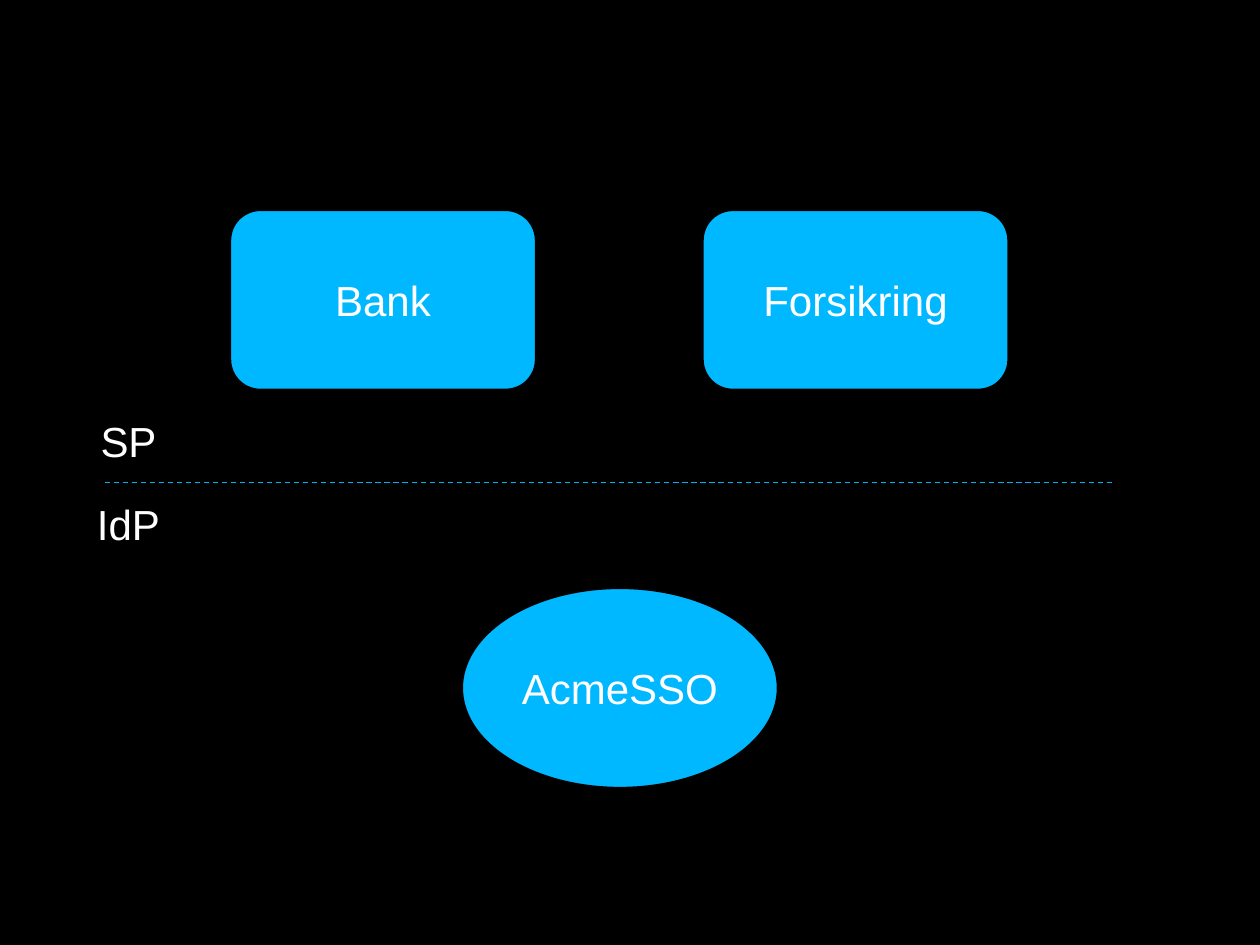
from dataclasses import dataclass

from lxml.etree import SubElement
from pptx import Presentation
from pptx.dml.color import RGBColor
from pptx.enum.dml import MSO_LINE_DASH_STYLE as DashStyle
from pptx.enum.shapes import MSO_CONNECTOR_TYPE as ConnectorType
from pptx.enum.shapes import MSO_SHAPE as ShapeType
from pptx.enum.text import MSO_ANCHOR as Anchor
from pptx.enum.text import MSO_AUTO_SIZE as AutoSize
from pptx.enum.text import PP_ALIGN as Align
from pptx.oxml.ns import qn
from pptx.slide import Slide
from pptx.text.text import TextFrame
from pptx.util import Inches, Pt

COLORS = {
    "background": "000000",
    "node": "00B8FF",
    "divider": "00B0F0",
    "text": "FFFFFF",
}
FONT = "Arial"
TEXT_SIZE = Pt(24)
LINE_WIDTH = Pt(0.75)


@dataclass
class Node:
    text: str
    kind: ShapeType
    left: float
    top: float
    width: float
    height: float


@dataclass
class Label:
    text: str
    left: float
    top: float
    width: float
    height: float = 0.5


NODES = [
    Node("Bank", ShapeType.ROUNDED_RECTANGLE, 1.83, 1.67, 2.42, 1.42),
    Node("Forsikring", ShapeType.ROUNDED_RECTANGLE, 5.58, 1.67, 2.42, 1.42),
    Node("AcmeSSO", ShapeType.OVAL, 3.67, 4.67, 2.5, 1.58),
]
LABELS = [
    Label("SP", 0.67, 3.25, 0.7),
    Label("IdP", 0.67, 3.91, 0.7),
]


def color(name: str) -> RGBColor:
    return RGBColor.from_string(COLORS[name])


def write_text(frame: TextFrame, text: str) -> None:
    paragraph = frame.paragraphs[0]
    paragraph.alignment = Align.CENTER
    run = paragraph.add_run()
    run.text = text
    run.font.name = FONT
    run.font.size = TEXT_SIZE
    run.font.color.rgb = color("text")


def draw_node(slide: Slide, node: Node) -> None:
    shape = slide.shapes.add_shape(
        node.kind,
        Inches(node.left), Inches(node.top),
        Inches(node.width), Inches(node.height),
    )
    shape.shadow.inherit = False
    shape.fill.solid()
    shape.fill.fore_color.rgb = color("node")
    shape.line.color.rgb = color("background")
    shape.line.width = LINE_WIDTH
    shape.text_frame.vertical_anchor = Anchor.MIDDLE
    write_text(shape.text_frame, node.text)


def draw_divider(slide: Slide, left: float, right: float, top: float) -> None:
    connector = slide.shapes.add_connector(
        ConnectorType.STRAIGHT,
        Inches(left), Inches(top), Inches(right), Inches(top),
    )
    connector.line.color.rgb = color("divider")
    connector.line.width = LINE_WIDTH
    connector.line.dash_style = DashStyle.DASH
    SubElement(connector._element.spPr, qn("a:effectLst"))


def draw_label(slide: Slide, label: Label) -> None:
    box = slide.shapes.add_textbox(
        Inches(label.left), Inches(label.top),
        Inches(label.width), Inches(label.height),
    )
    box.text_frame.word_wrap = False
    box.text_frame.auto_size = AutoSize.SHAPE_TO_FIT_TEXT
    write_text(box.text_frame, label.text)


def main() -> None:
    presentation = Presentation()
    presentation.slide_width = Inches(10)
    presentation.slide_height = Inches(7.5)
    slide = presentation.slides.add_slide(presentation.slide_layouts[6])
    slide.background.fill.solid()
    slide.background.fill.fore_color.rgb = color("background")

    for node in NODES:
        draw_node(slide, node)
    draw_divider(slide, 0.83, 8.83, 3.83)
    for label in LABELS:
        draw_label(slide, label)

    presentation.save("out.pptx")


if __name__ == "__main__":
    main()
